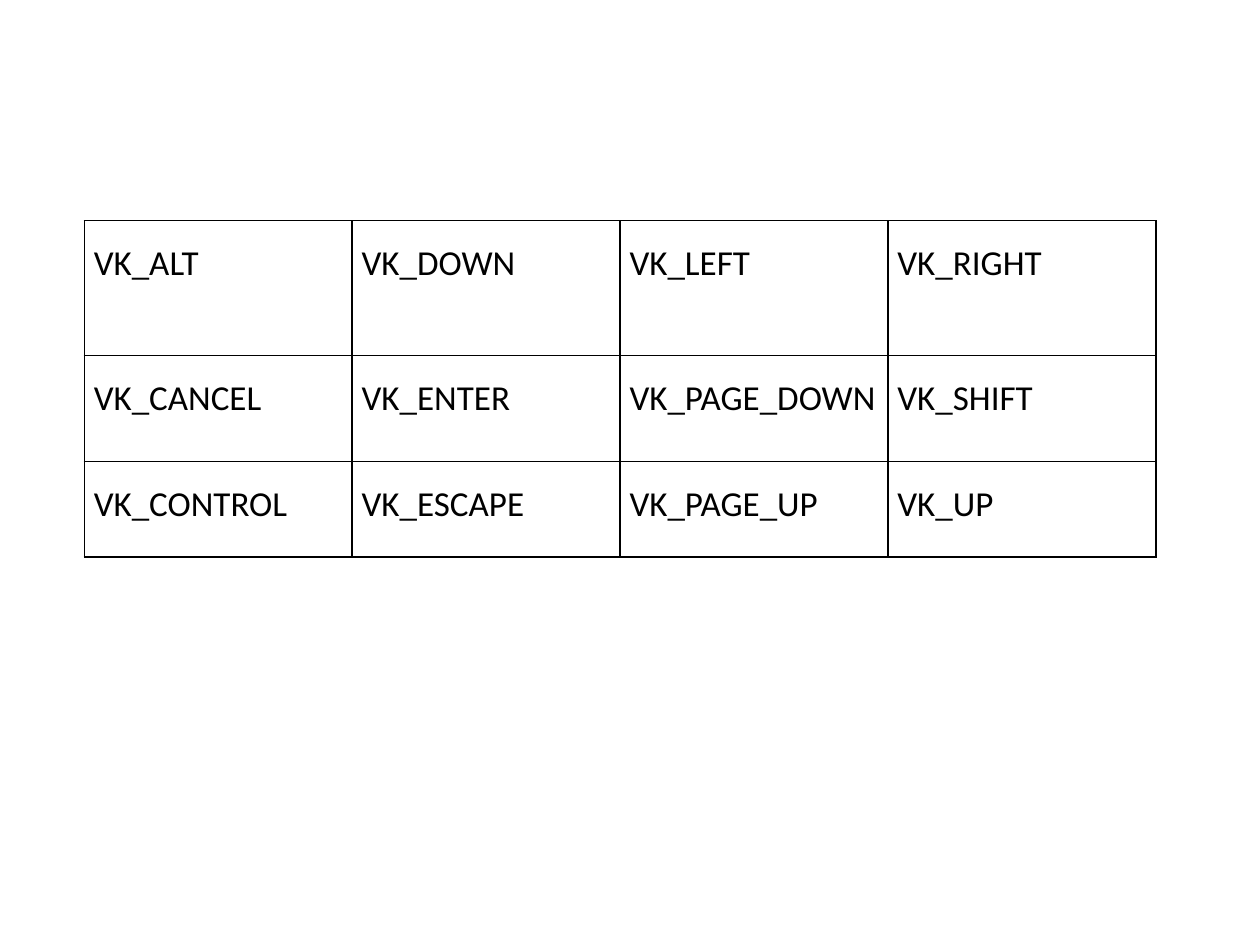
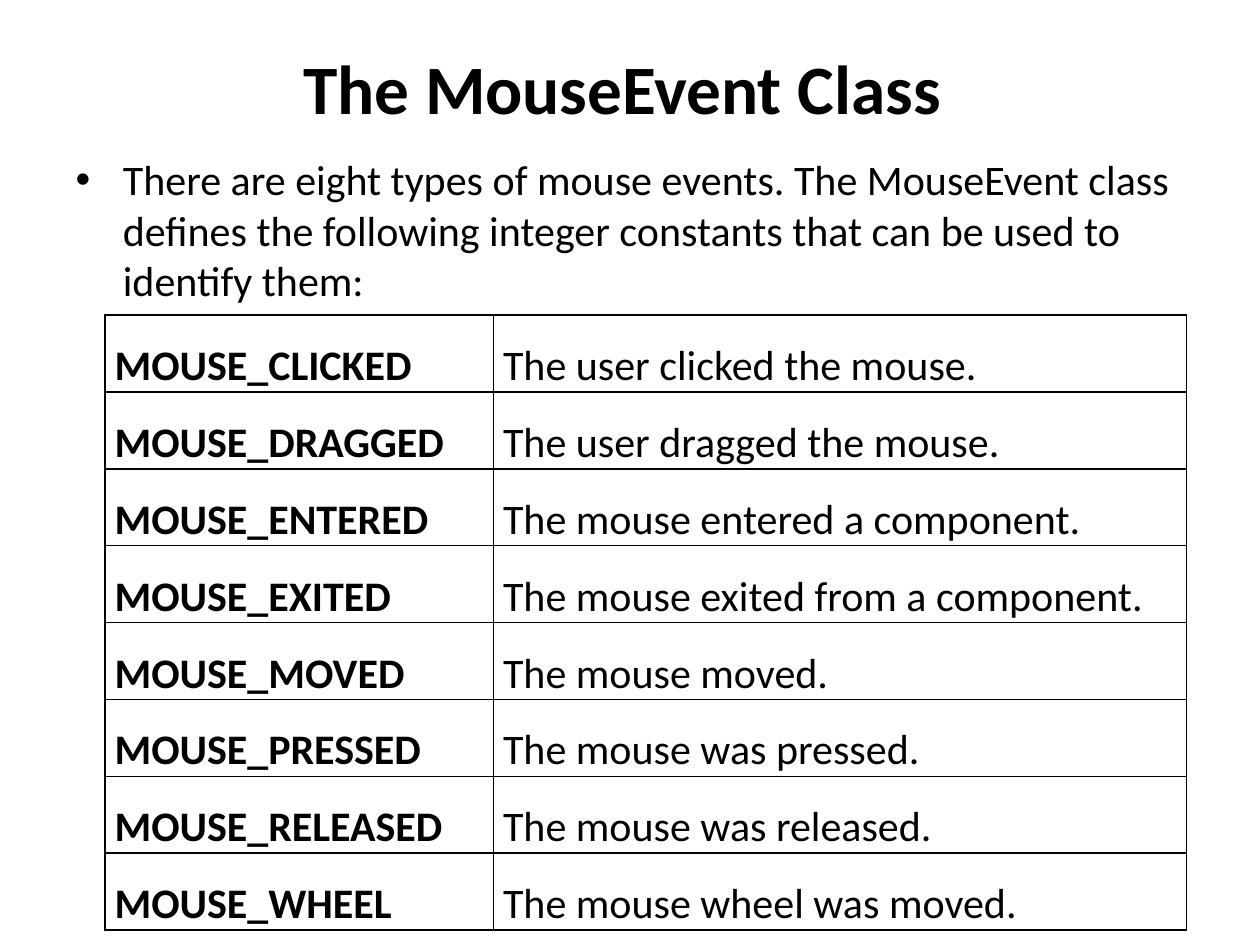
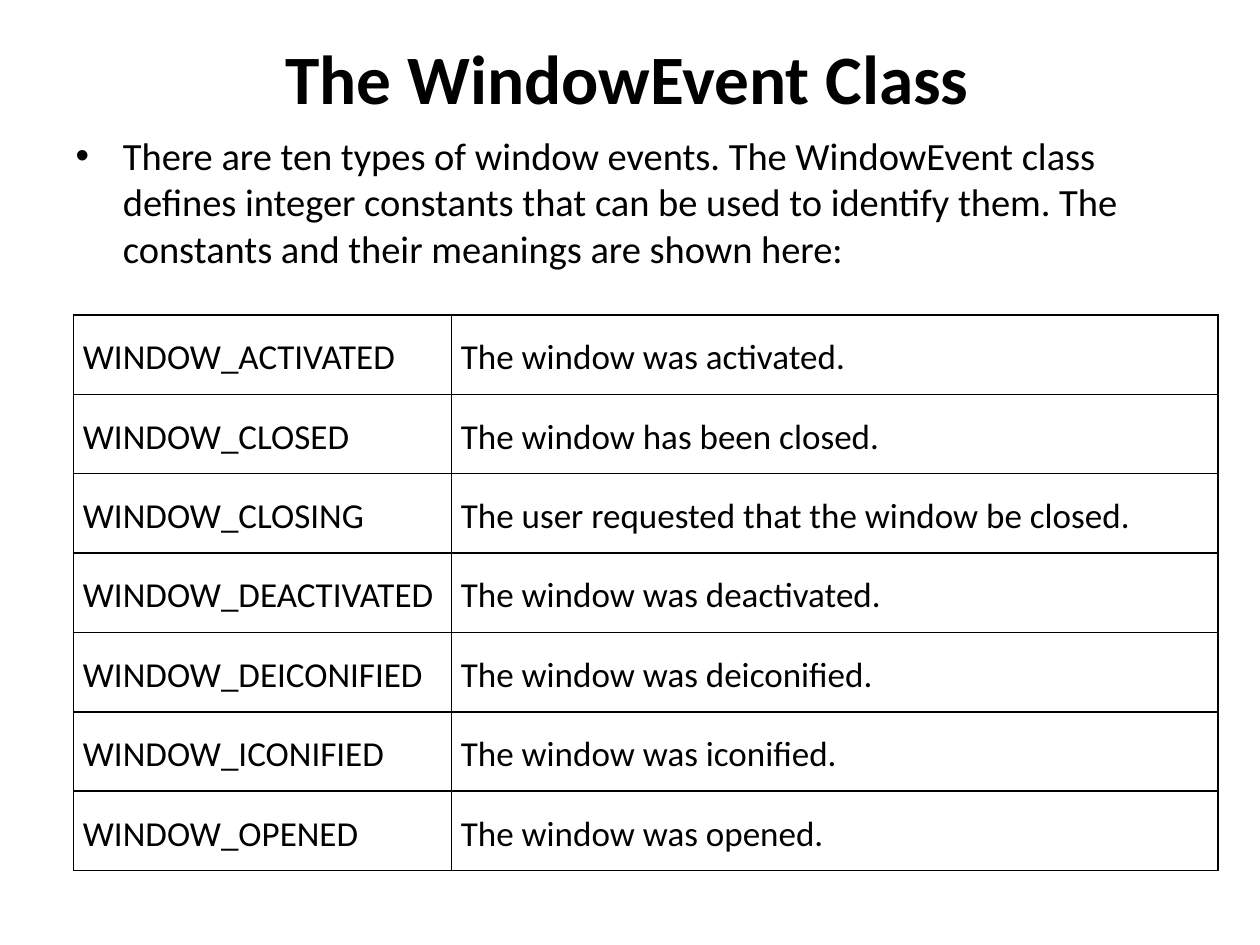
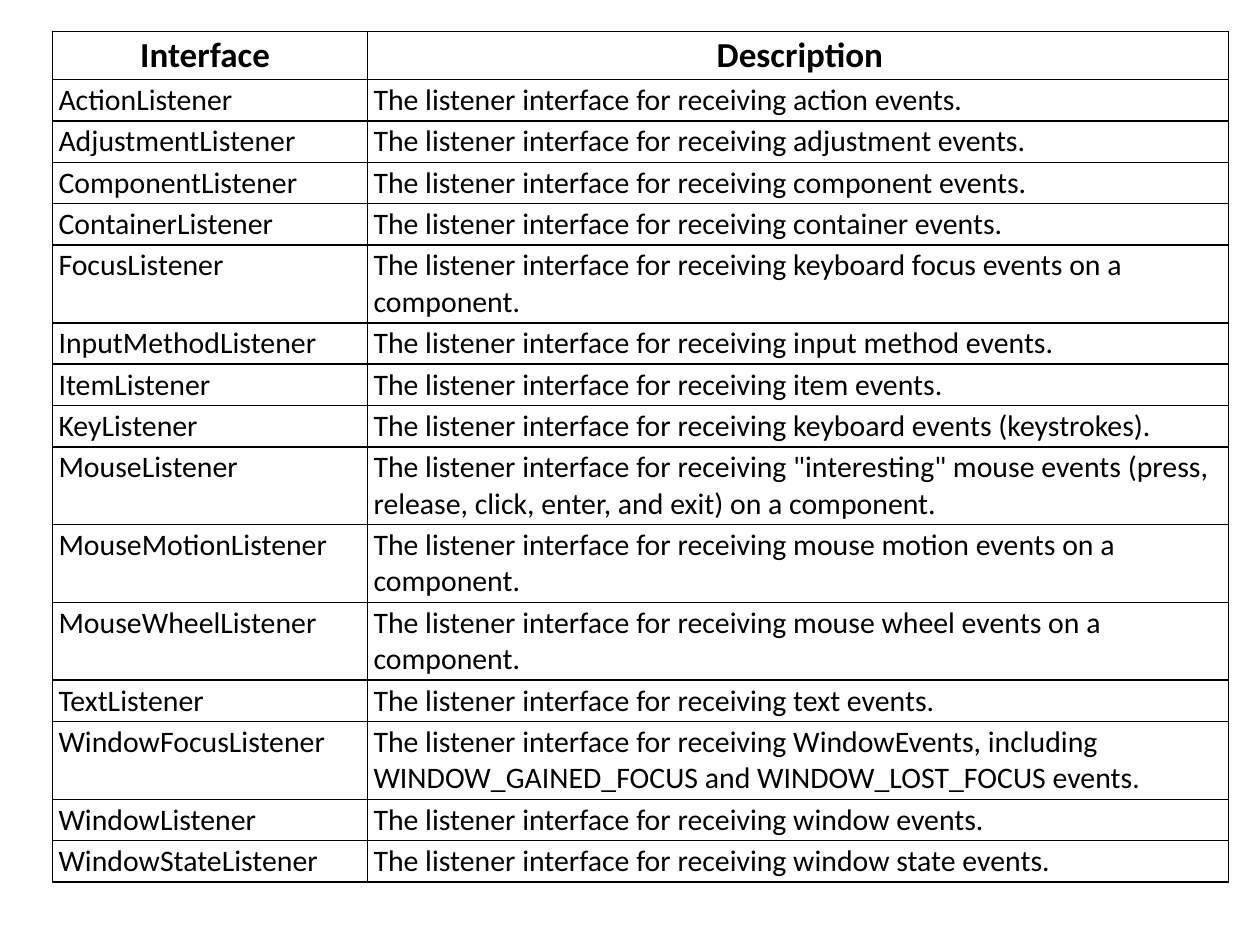
from dataclasses import dataclass

from lxml import etree
from pptx import Presentation
from pptx import util as u
from pptx.dml.color import RGBColor
from pptx.enum import text as t
from pptx.oxml import ns


@dataclass(frozen=True)
class Theme:
    font: str = "Calibri"
    ink: str = "000000"
    title: float = 39.6
    large: float = 24
    lead: float = 22
    mid: float = 20
    small: float = 17
    line: float = 1


THEME = Theme()
ALIGN = t.PP_ALIGN
WIDE = dict(align=ALIGN.JUSTIFY, space=1.5)  # roomy key tables
WIDE_PAD = (0.19, 0, 0.19, 0)
TIGHT_PAD = (0.12, 0.05, 0.05, 0.05)

KEYS = [
    ["VK_ALT", "VK_DOWN", "VK_LEFT", "VK_RIGHT"],
    ["VK_CANCEL", "VK_ENTER", "VK_PAGE_DOWN", "VK_SHIFT"],
    ["VK_CONTROL", "VK_ESCAPE", "VK_PAGE_UP", "VK_UP"],
]

MOUSE = [
    ["MOUSE_CLICKED", "The user clicked the mouse."],
    ["MOUSE_DRAGGED", "The user dragged the mouse."],
    ["MOUSE_ENTERED", "The mouse entered a component."],
    ["MOUSE_EXITED", "The mouse exited from a component."],
    ["MOUSE_MOVED", "The mouse moved."],
    ["MOUSE_PRESSED", "The mouse was pressed."],
    ["MOUSE_RELEASED", "The mouse was released."],
    ["MOUSE_WHEEL", "The mouse wheel was moved."],
]

WINDOW = [
    ["WINDOW_ACTIVATED", "The window was activated."],
    ["WINDOW_CLOSED", "The window has been closed."],
    ["WINDOW_CLOSING", "The user requested that the window be closed."],
    ["WINDOW_DEACTIVATED", "The window was deactivated."],
    ["WINDOW_DEICONIFIED", "The window was deiconified."],
    ["WINDOW_ICONIFIED", "The window was iconified."],
    ["WINDOW_OPENED", "The window was opened."],
]

# Each listener with what it receives
EVENTS = {
    "Action": "action events",
    "Adjustment": "adjustment events",
    "Component": "component events",
    "Container": "container events",
    "Focus": "keyboard focus events on a component",
    "InputMethod": "input method events",
    "Item": "item events",
    "Key": "keyboard events (keystrokes)",
    "Mouse": '"interesting" mouse events (press, release, click, enter, '
             "and exit) on a component",
    "MouseMotion": "mouse motion events on a component",
    "MouseWheel": "mouse wheel events on a component",
    "Text": "text events",
    "WindowFocus": "WindowEvents, including WINDOW_GAINED_FOCUS and "
                   "WINDOW_LOST_FOCUS events",
    "Window": "window events",
    "WindowState": "window state events",
}


def write(frame, words, size=THEME.mid, bold=False, align=None, space=None):
    """Put one formatted paragraph in a text frame."""
    para = frame.paragraphs[0]
    para.alignment = align
    para.line_spacing = space
    run = para.add_run()
    run.text = words
    font = run.font
    font.name, font.size, font.bold = THEME.font, u.Pt(size), bold
    font.color.rgb = RGBColor.from_string(THEME.ink)


def place(shape, left, top, width, height):
    shape.left, shape.top = u.Cm(left), u.Cm(top)
    shape.width, shape.height = u.Cm(width), u.Cm(height)


def head(slide, words, box):
    """Fill the title placeholder."""
    shape = slide.shapes.title
    place(shape, *box)
    frame = shape.text_frame
    frame.auto_size = t.MSO_AUTO_SIZE.NONE
    frame.vertical_anchor = t.MSO_ANCHOR.MIDDLE
    write(frame, words, size=THEME.title, bold=True, align=ALIGN.CENTER)


def intro(slide, words, top, size):
    """Fill the body placeholder with one bullet."""
    shape = slide.placeholders[1]
    place(shape, 1.27, top, 22.86, 12.57)
    shape.text_frame.auto_size = t.MSO_AUTO_SIZE.NONE
    write(shape.text_frame, words, size=size)


def edge(cell):
    """Draw the four borders of a cell, ahead of its fill."""
    props = cell._tc.get_or_add_tcPr()
    for spot, side in enumerate(("lnL", "lnR", "lnT", "lnB")):
        line = etree.Element(ns.qn(f"a:{side}"), w=str(u.Pt(THEME.line)))
        fill = etree.SubElement(line, ns.qn("a:solidFill"))
        etree.SubElement(fill, ns.qn("a:srgbClr"), val=THEME.ink)
        props.insert(spot, line)


def pad(cell, left, top, right, bottom):
    cell.margin_left, cell.margin_top = u.Cm(left), u.Cm(top)
    cell.margin_right, cell.margin_bottom = u.Cm(right), u.Cm(bottom)


def grid(slide, data, spot, cols, rows, high, inset, style):
    """Add a plain ruled table; style(row, col) gives the text format."""
    shape = slide.shapes.add_table(
        len(data), len(cols), u.Cm(spot[0]), u.Cm(spot[1]),
        u.Cm(sum(cols)), u.Cm(high))
    table = shape.table
    table.first_row = table.horz_banding = False
    for col, width in zip(table.columns, cols):
        col.width = u.Cm(width)
    for row, height in zip(table.rows, rows):
        row.height = u.Cm(height)
    shape.height = u.Cm(high)
    for r, line in enumerate(data):
        for c, words in enumerate(line):
            cell = table.cell(r, c)
            pad(cell, *inset)
            cell.fill.background()
            edge(cell)
            write(cell.text_frame, words, **style(r, c))
    return table


def keys(slide):
    grid(slide, KEYS, (1.7, 4.45), [5.4] * 4, [2.72, 2.13, 1.93], 6.78,
         WIDE_PAD, lambda r, c: WIDE)


def mouse(slide):
    head(slide, "The MouseEvent Class ", (1.27, 0.76, 22.86, 1.98))
    intro(slide, "There are eight types of mouse events. The MouseEvent class "
          "defines the following integer constants that can be used to "
          "identify them:", 2.97, THEME.large)
    grid(slide, MOUSE, (2.12, 6.35), [7.83, 13.97], [1.19] * len(MOUSE), 12.19,
         WIDE_PAD, lambda r, c: dict(WIDE, size=THEME.large, bold=c == 0))


def window(slide):
    head(slide, "The WindowEvent Class ", (1.27, 0.76, 23.06, 1.57))
    intro(slide, "There are ten types of window events. The WindowEvent class "
          "defines integer constants that can be used to identify them. The "
          "constants and their meanings are shown here:", 2.54, THEME.lead)
    grid(slide, WINDOW, (1.48, 6.35), [7.62, 15.45], [1.6] * len(WINDOW), 11.23,
         WIDE_PAD, lambda r, c: WIDE)


def listen(slide):
    data = [["Interface", "Description"]]
    data += [[f"{name}Listener", f"The listener interface for receiving {what}."]
             for name, what in EVENTS.items()]
    rows = [1.07 if r in (9, 13) else 0.58 for r in range(len(data))]

    def style(r, c):
        if r == 0:
            return dict(bold=True, align=ALIGN.CENTER)
        return dict(size=THEME.small)

    table = grid(slide, data, (1.06, 0.64), [6.35, 17.36], rows, 17.57,
                 TIGHT_PAD, style)
    table.cell(0, 0).margin_right = u.Cm(0.32)


def main():
    deck = Presentation()
    deck.slide_width, deck.slide_height = u.Cm(25.4), u.Cm(19.05)
    listed, blank = deck.slide_layouts[1], deck.slide_layouts[6]
    for draw, layout in ((keys, blank), (mouse, listed),
                         (window, listed), (listen, blank)):
        draw(deck.slides.add_slide(layout))
    deck.save("out.pptx")


if __name__ == "__main__":
    main()
